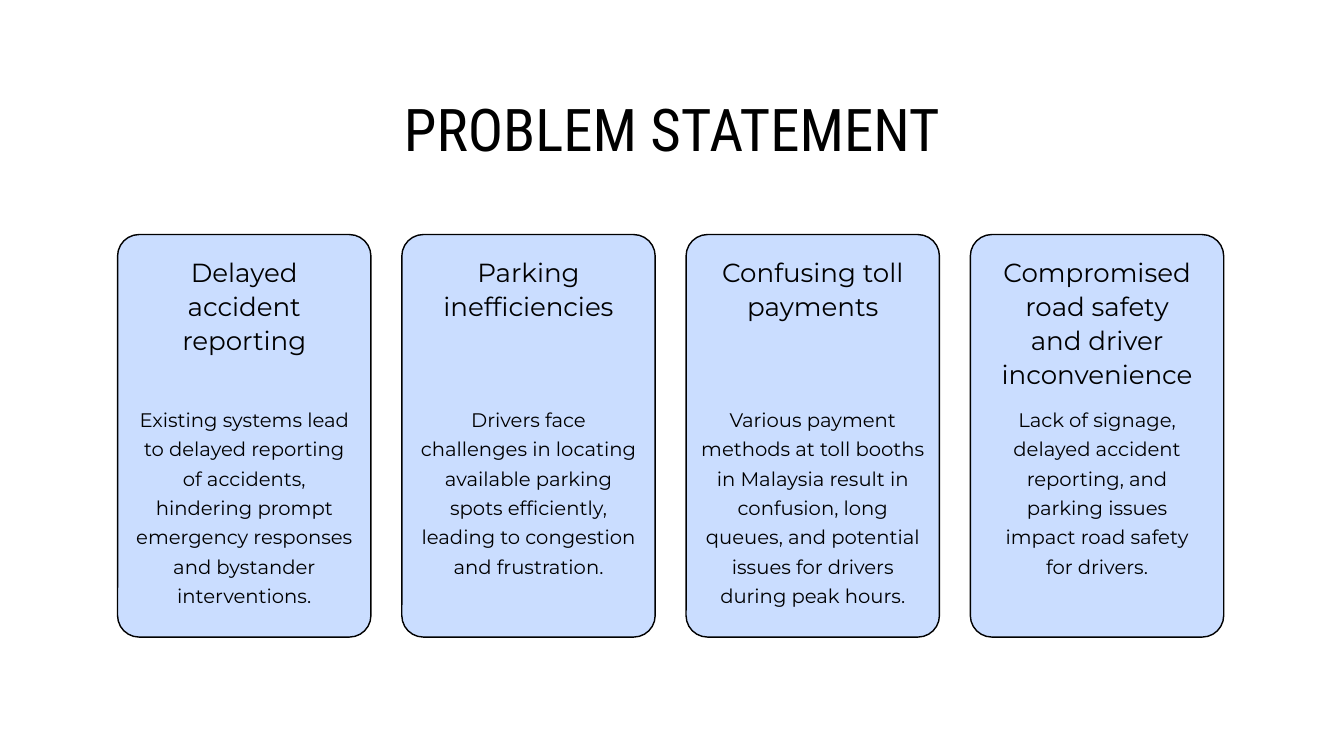
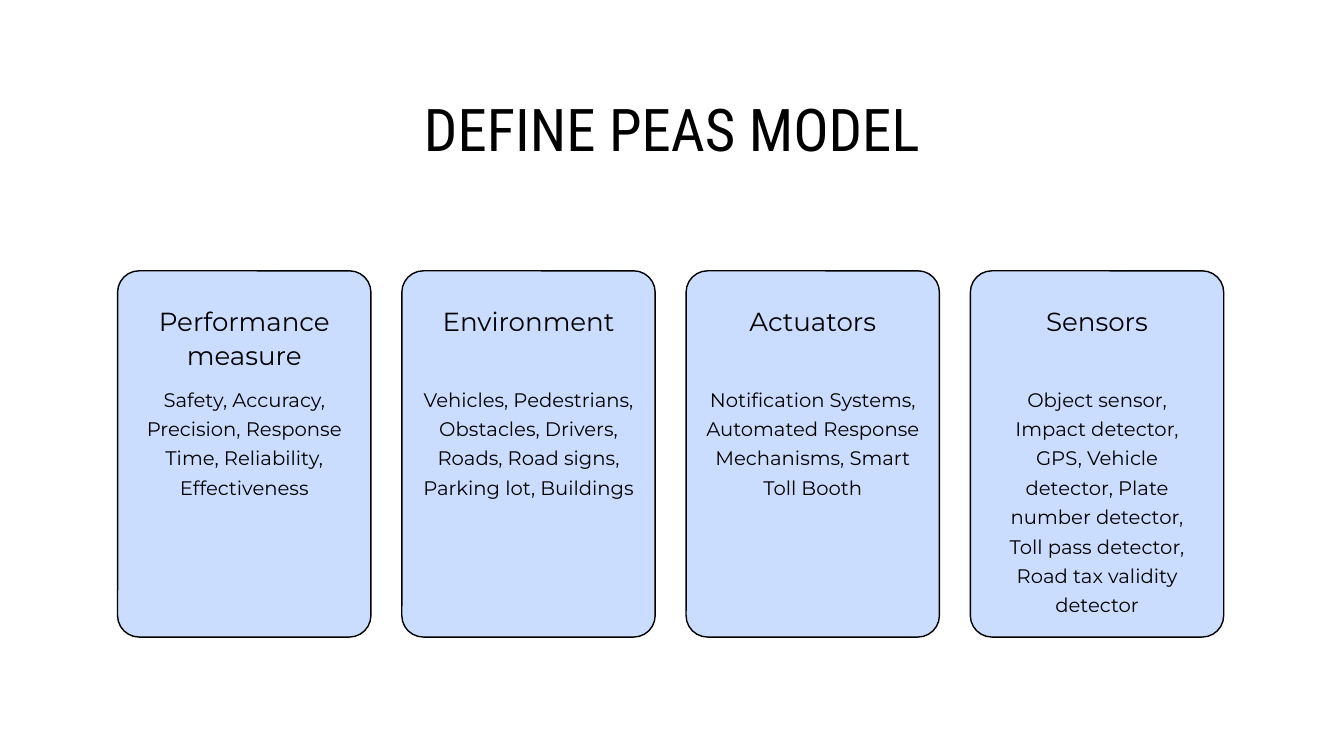
from dataclasses import dataclass

from pptx import Presentation
from pptx.dml.color import RGBColor
from pptx.enum.shapes import MSO_SHAPE
from pptx.enum.text import MSO_ANCHOR, MSO_AUTO_SIZE, PP_ALIGN
from pptx.slide import Slide
from pptx.text.text import TextFrame
from pptx.util import Inches, Pt

ROUNDED = MSO_SHAPE.ROUNDED_RECTANGLE
TOP = MSO_ANCHOR.TOP
NO_FIT = MSO_AUTO_SIZE.NONE
CENTER = PP_ALIGN.CENTER

COLORS = {"background": "FFFFFF", "card": "CADDFF", "ink": "000000"}
TITLE_FONT = "Roboto Condensed"
CARD_FONT = "Montserrat"

CARD_LEFT = 1.75
CARD_WIDTH = 3.77
CARD_PITCH = 4.23
CARD_BOTTOM = 9.48
CORNER_RADIUS = 0.32
HEADING_LINE = 0.5
BODY_LINE = 0.43


@dataclass(frozen=True)
class Card:
    heading: str
    heading_lines: int
    body: str
    body_lines: int
    heading_width: float = 3.33
    body_width: float = 3.33


@dataclass(frozen=True)
class CardSlide:
    title: str
    card_top: float
    heading_top: float
    body_top: float
    cards: tuple[Card, ...]


SLIDES = (
    CardSlide("PROBLEM STATEMENT", 3.49, 3.78, 5.98, (
        Card("Delayed accident reporting", 3,
             "Existing systems lead to delayed reporting of accidents, hindering "
             "prompt emergency responses and bystander interventions.", 7),
        Card("Parking inefficiencies", 2,
             "Drivers face challenges in locating available parking spots "
             "efficiently, leading to congestion and frustration.", 6),
        Card("Confusing toll payments", 2,
             "Various payment methods at toll booths in Malaysia result in "
             "confusion, long queues, and potential issues for drivers during "
             "peak hours.", 7),
        Card("Compromised road safety and driver inconvenience", 4,
             "Lack of signage, delayed accident reporting, and parking issues "
             "impact road safety for drivers.", 6, 2.91, 3.09),
    )),
    CardSlide("DEFINE PEAS MODEL", 4.03, 4.51, 5.68, (
        Card("Performance measure", 2,
             "Safety, Accuracy, Precision, Response Time, Reliability, "
             "Effectiveness", 4),
        Card("Environment", 1,
             "Vehicles, Pedestrians, Obstacles, Drivers, Roads, Road signs, "
             "Parking lot, Buildings", 4),
        Card("Actuators", 1,
             "Notification Systems, Automated Response Mechanisms, Smart Toll "
             "Booth", 4),
        Card("Sensors", 1,
             "Object sensor, Impact detector, GPS, Vehicle detector, Plate "
             "number detector, Toll pass detector, Road tax validity detector",
             8, 2.91, 3.09),
    )),
)


def rgb(name: str) -> RGBColor:
    return RGBColor.from_string(COLORS[name])


def write(tf: TextFrame, text: str, *, font: str, size: float,
          spacing: float, color: str = "ink") -> None:
    tf.margin_left = tf.margin_right = tf.margin_top = tf.margin_bottom = 0
    tf.word_wrap = True
    tf.auto_size = NO_FIT
    tf.vertical_anchor = TOP
    p = tf.paragraphs[0]
    p.alignment = CENTER
    p.line_spacing = Pt(spacing)
    p.space_before = Pt(0)
    r = p.add_run()
    r.text = text
    r.font.name = font
    r.font.size = Pt(size)
    r.font.color.rgb = rgb(color)


def add_title(s: Slide, text: str) -> None:
    sp = s.shapes.title
    sp.left, sp.top = Inches(5.09), Inches(1.55)
    sp.width, sp.height = Inches(9.82), Inches(0.95)
    write(sp.text_frame, text, font=TITLE_FONT, size=63.1, spacing=63.8)


def add_centered_text(s: Slide, text: str, center: float, top: float,
                      width: float, height: float, *, size: float,
                      spacing: float) -> None:
    sp = s.shapes.add_textbox(Inches(center - width / 2), Inches(top),
                              Inches(width), Inches(height))
    write(sp.text_frame, text, font=CARD_FONT, size=size, spacing=spacing)


def add_card(s: Slide, card: Card, column: int, layout: CardSlide) -> None:
    left = CARD_LEFT + column * CARD_PITCH
    sp = s.shapes.add_shape(ROUNDED, Inches(left), Inches(layout.card_top),
                            Inches(CARD_WIDTH),
                            Inches(CARD_BOTTOM - layout.card_top))
    sp.adjustments[0] = CORNER_RADIUS / CARD_WIDTH
    sp.shadow.inherit = False
    sp.fill.solid()
    sp.fill.fore_color.rgb = rgb("card")
    sp.line.color.rgb = rgb("ink")
    sp.line.width = Pt(1.5)

    center = left + CARD_WIDTH / 2
    add_centered_text(s, card.heading, center, layout.heading_top,
                      card.heading_width, card.heading_lines * HEADING_LINE,
                      size=28, spacing=36.4)
    add_centered_text(s, card.body, center, layout.body_top,
                      card.body_width, card.body_lines * BODY_LINE,
                      size=21, spacing=31.5)


def main() -> None:
    prs = Presentation()
    prs.slide_width, prs.slide_height = Inches(20), Inches(11.25)
    title_only = prs.slide_layouts.get_by_name("Title Only")
    for layout in SLIDES:
        s = prs.slides.add_slide(title_only)
        s.background.fill.solid()
        s.background.fill.fore_color.rgb = rgb("background")
        add_title(s, layout.title)
        for column, card in enumerate(layout.cards):
            add_card(s, card, column, layout)
    prs.save("out.pptx")


if __name__ == "__main__":
    main()
